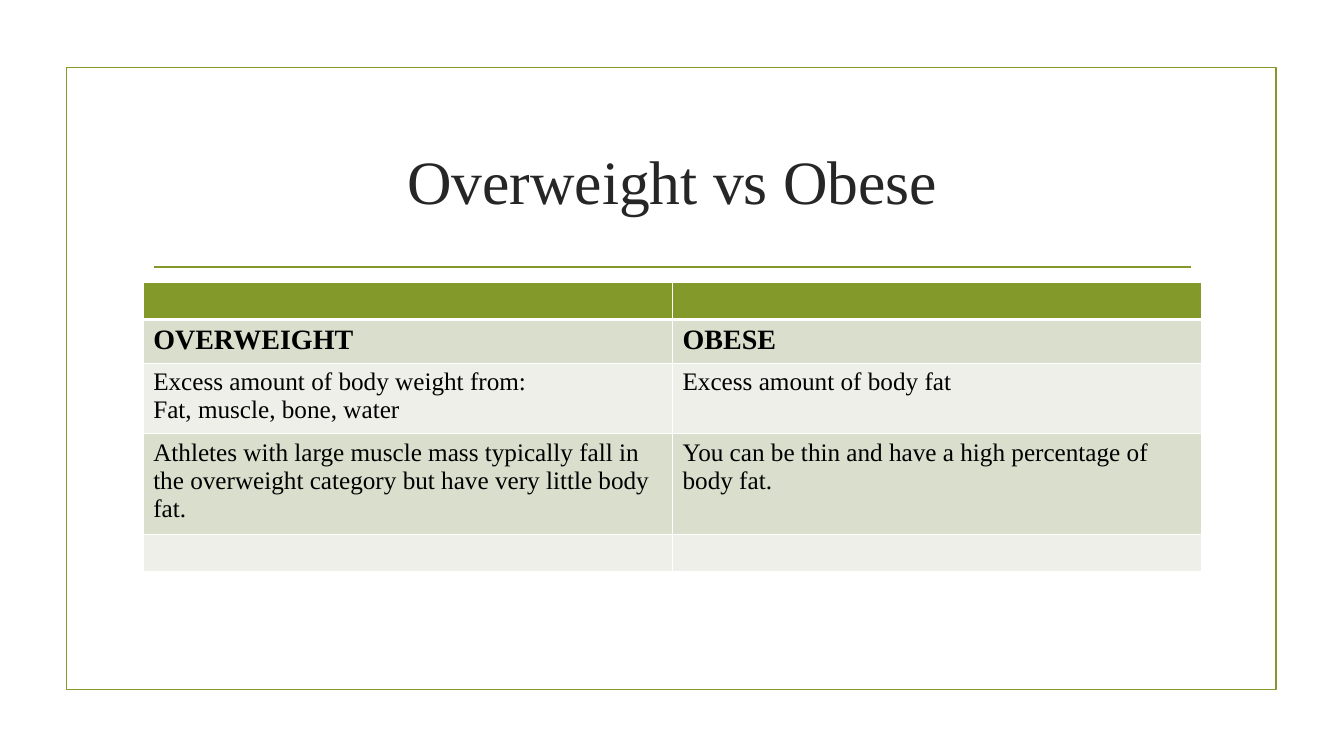
import lxml.etree
import pptx
import pptx.dml.color
import pptx.enum.shapes
import pptx.enum.text
import pptx.oxml.ns
import pptx.util
from dataclasses import dataclass

PX = 9144  # 100 px to the inch


@dataclass(frozen=True)
class Theme:
    font: str = "Times New Roman"
    green: str = "83992A"
    dark: str = "D9DECD"
    light: str = "EDEFE8"
    white: str = "FFFFFF"
    ink: str = "262626"
    black: str = "000000"
    title: int = 44
    head: int = 20
    body: int = 18
    blank: int = 12
    rule: float = 1.25
    grid: int = 1
    thick: int = 3


THEME = Theme()

# Each row: height, type size, bold, then the paragraphs of both cells
ROWS = [
    (37, THEME.blank, False, [[], []]),
    (40, THEME.head, True, [["OVERWEIGHT"], ["OBESE"]]),
    (65, THEME.body, False, [
        ["Excess amount of body weight from:", "Fat, muscle, bone, water"],
        ["Excess amount of body fat"]]),
    (92, THEME.body, False, [
        ["Athletes with large muscle mass typically fall in the overweight "
         "category but have very little body fat."],
        ["You can be thin and have a high percentage of body fat."]]),
    (37, THEME.blank, False, [[], []]),
]


def emu(*sizes):
    return [pptx.util.Emu(size * PX) for size in sizes]


def color(code):
    return pptx.dml.color.RGBColor.from_string(code)


def node(parent, tag, **attrs):
    return lxml.etree.SubElement(parent, pptx.oxml.ns.qn(tag), **attrs)


def add_run(para, text, size, code, bold=False):
    run = para.add_run()
    run.text = text
    run.font.name = THEME.font
    run.font.size = pptx.util.Pt(size)
    run.font.bold = bold
    run.font.color.rgb = color(code)


def draw_frame(slide, box):
    frame = slide.shapes.add_shape(
        pptx.enum.shapes.MSO_SHAPE.RECTANGLE, *emu(*box))
    frame.shadow.inherit = False
    frame.fill.background()
    frame.line.color.rgb = color(THEME.green)
    frame.line.width = pptx.util.Pt(THEME.rule)


def draw_title(slide, box):
    left, top, width, height = box
    # Heading
    text = slide.shapes.add_textbox(*emu(*box)).text_frame
    text.word_wrap = True
    text.vertical_anchor = pptx.enum.text.MSO_ANCHOR.MIDDLE
    para = text.paragraphs[0]
    para.alignment = pptx.enum.text.PP_ALIGN.CENTER
    add_run(para, "Overweight vs Obese", THEME.title, THEME.ink)
    # Rule below the heading
    inset, gap = 11, 15
    level = top + height + gap
    rule = slide.shapes.add_connector(
        pptx.enum.shapes.MSO_CONNECTOR.STRAIGHT,
        *emu(left + inset, level, left + width - inset, level))
    rule.line.color.rgb = color(THEME.green)
    rule.line.width = pptx.util.Pt(THEME.rule)
    node(rule._element.spPr, "a:effectLst")


def add_edges(cell, row):
    props = cell._tc.get_or_add_tcPr()
    for side in "LRTB":
        thick = (row, side) in ((0, "B"), (1, "T"))
        width = pptx.util.Pt(THEME.thick if thick else THEME.grid)
        edge = node(props, "a:ln" + side, w=str(width))
        node(node(edge, "a:solidFill"), "a:srgbClr", val=THEME.white)


def fill_cell(cell, paras, size, bold):
    text = cell.text_frame
    for index, words in enumerate(paras):
        para = text.add_paragraph() if index else text.paragraphs[0]
        add_run(para, words, size, THEME.black, bold)
    if not paras:
        # Type size of an empty cell, so its row stays low
        node(text.paragraphs[0]._p, "a:endParaRPr", sz=str(size * 100))


def draw_table(slide, box):
    table = slide.shapes.add_table(len(ROWS), 2, *emu(*box)).table
    table.first_row = table.horz_banding = False
    for col in table.columns:
        col.width = pptx.util.Emu(box[2] * PX // 2)
    for row, (height, size, bold, cells) in enumerate(ROWS):
        table.rows[row].height = pptx.util.Emu(height * PX)
        band = THEME.dark if row % 2 else THEME.light
        for col, paras in enumerate(cells):
            cell = table.cell(row, col)
            add_edges(cell, row)
            cell.fill.solid()
            cell.fill.fore_color.rgb = color(band if row else THEME.green)
            fill_cell(cell, paras, size, bold)


def main():
    deck = pptx.Presentation()
    deck.slide_width, deck.slide_height = emu(1333, 750)
    slide = deck.slides.add_slide(deck.slide_layouts[6])
    draw_frame(slide, (66, 67, 1200, 617))
    draw_title(slide, (142, 107, 1050, 143))
    draw_table(slide, (142, 280, 1050, sum(row[0] for row in ROWS)))
    deck.save("out.pptx")


if __name__ == "__main__":
    main()
